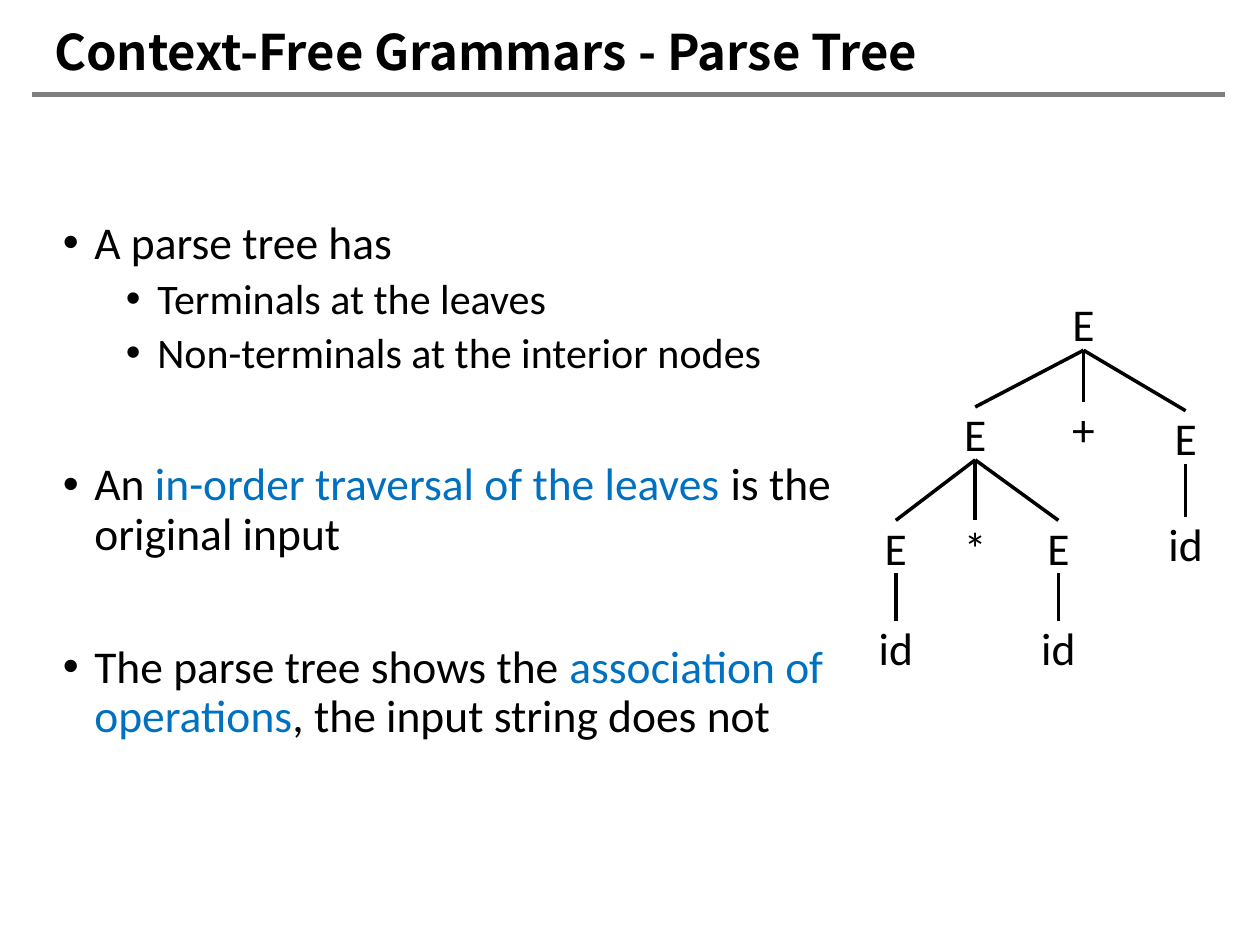
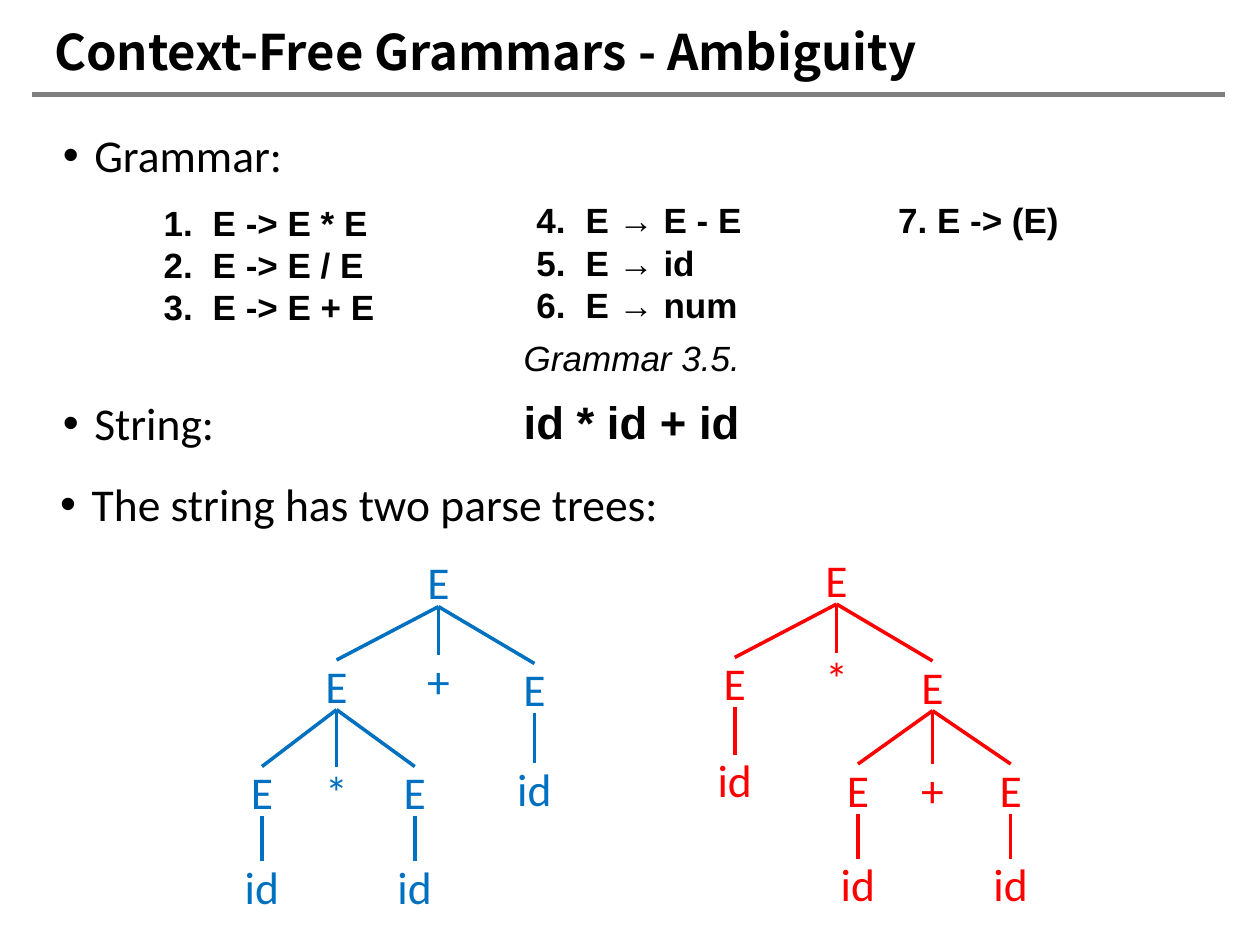
"""Build two slides on parse trees and ambiguity of context-free grammars."""
from dataclasses import dataclass

from lxml import etree
from pptx import Presentation
from pptx.dml.color import RGBColor
from pptx.enum import shapes, text
from pptx.oxml import ns
from pptx.util import Inches, Pt

BLACK, GRAY, BLUE, RED = "000000", "7F7F7F", "0070C0", "FF0000"
TITLE_FONT, BODY_FONT, CODE_FONT = "Noto Sans CJK SC", "Calibri", "Arial"
BODY_SIZE, CODE_SIZE = 26, 20
NODE_HEIGHT, NODE_WIDTH, LEAF_WIDTH = 0.42, 0.39, 0.61
SMALL = 0.94


@dataclass
class Node:
    """A tree node, placed by its offset from the top centre of the root."""
    label: str
    across: float = 0
    down: float = 0
    children: tuple = ()


PRODUCT_FIRST = Node("E", children=(
    Node("E", -0.86, 0.87, (
        Node("E", -1.49, 1.77, (Node("id", -1.49, 2.57),)),
        Node("*", -0.86, 1.77),
        Node("E", -0.2, 1.77, (Node("id", -0.2, 2.57),)))),
    Node("+", 0, 0.83),
    Node("E", 0.81, 0.9, (Node("id", 0.81, 1.74),))))

SUM_FIRST = Node("E", children=(
    Node("E", -0.86, 0.87, (Node("id", -0.86, 1.69),)),
    Node("*", 0, 0.83),
    Node("E", 0.81, 0.9, (
        Node("E", 0.18, 1.77, (Node("id", 0.18, 2.57),)),
        Node("+", 0.81, 1.77),
        Node("E", 1.47, 1.77, (Node("id", 1.47, 2.57),))))))


def rgb(hex_color):
    """Turn a hex string into a colour."""
    return RGBColor.from_string(hex_color)


def write(para, words, size=BODY_SIZE, font=BODY_FONT, color=BLACK, bold=False, italic=False):
    """Add a formatted span of text to a paragraph."""
    span = para.add_run()
    span.text = words
    span.font.size = Pt(size)
    span.font.name = font
    span.font.color.rgb = rgb(color)
    span.font.bold = bold
    span.font.italic = italic


def add_frame(page, left, top, width, height, inset=None):
    """Add a wrapping text box and return its text frame."""
    box = page.shapes.add_textbox(Inches(left), Inches(top), Inches(width), Inches(height))
    frame = box.text_frame
    frame.word_wrap = True
    if inset is not None:
        clear_insets(frame, inset)
    return frame


def clear_insets(frame, inset=0):
    """Give all four sides of a text frame the same inset."""
    frame.margin_left = frame.margin_right = Inches(inset)
    frame.margin_top = frame.margin_bottom = Inches(inset)


def next_paragraph(frame, index):
    """Return the first paragraph of a frame, or a new one after it."""
    return frame.add_paragraph() if index else frame.paragraphs[0]


def add_line(group, start, end, color, width):
    """Draw a straight line without a shadow."""
    line = group.add_connector(shapes.MSO_CONNECTOR.STRAIGHT, *start, *end)
    line.line.color.rgb = rgb(color)
    line.line.width = Pt(width)
    etree.SubElement(line._element.spPr, ns.qn("a:effectLst"))
    return line


def add_page(deck, title):
    """Add a blank slide with the shared title and rule."""
    page = deck.slides.add_slide(deck.slide_layouts[6])
    add_line(page.shapes, (Inches(0.25), Inches(0.75)), (Inches(9.72), Inches(0.75)), GRAY, 3)
    frame = add_frame(page, 0.43, 0.17, 8, 0.94, inset=0)
    write(frame.paragraphs[0], title, size=28, font=TITLE_FONT, bold=True)
    return page


def add_bullets(page, left, top, width, height, items):
    """Add bullets given as (level, points before, spans of text and colour)."""
    frame = add_frame(page, left, top, width, height)
    for index, (level, before, spans) in enumerate(items):
        para = next_paragraph(frame, index)
        para.level = level
        properties = para._p.get_or_add_pPr()
        properties.set("marL", str(Inches(0.25 + 0.5 * level)))
        properties.set("indent", str(Inches(-0.25)))
        etree.SubElement(properties, ns.qn("a:buFont")).set("typeface", "Arial")
        etree.SubElement(properties, ns.qn("a:buChar")).set("char", "•")
        para.line_spacing = 0.9
        para.space_before = Pt(before)
        for words, color in spans:
            write(para, words, size=BODY_SIZE - 2 * level, color=color)


def add_rules(page, left, top, width, rules):
    """Add grammar rules whose right parts align at a tab stop."""
    frame = add_frame(page, left, top, width, 0.1 + 0.34 * len(rules))
    for index, rule in enumerate(rules):
        para = next_paragraph(frame, index)
        tabs = etree.SubElement(para._p.get_or_add_pPr(), ns.qn("a:tabLst"))
        stop = etree.SubElement(tabs, ns.qn("a:tab"))
        stop.set("pos", str(Inches(0.39)))
        stop.set("algn", "l")
        write(para, rule, size=CODE_SIZE, font=CODE_FONT, bold=True)


def add_centered(page, top, height, words, **style):
    """Add a centred line of text in the middle column."""
    para = add_frame(page, 2.09, top, 5.85, height).paragraphs[0]
    para.alignment = text.PP_ALIGN.CENTER
    write(para, words, font=CODE_FONT, **style)


def add_node(group, node, center, top, scale, color):
    """Draw a node and its subtree, joined by lines, and return its shape."""
    width = scale * (LEAF_WIDTH if node.label == "id" else NODE_WIDTH)
    box = group.add_shape(
        shapes.MSO_SHAPE.ROUNDED_RECTANGLE,
        Inches(center + scale * node.across - width / 2), Inches(top + scale * node.down),
        Inches(width), Inches(scale * NODE_HEIGHT))
    box.shadow.inherit = False
    box.fill.background()
    box.line.fill.background()
    frame = box.text_frame
    clear_insets(frame)
    frame.word_wrap = False
    frame.vertical_anchor = text.MSO_ANCHOR.MIDDLE
    para = frame.paragraphs[0]
    para.alignment = text.PP_ALIGN.CENTER
    write(para, node.label, color=color)
    for child in node.children:
        child_box = add_node(group, child, center, top, scale, color)
        corner = (box.left, box.top)
        branch = add_line(group, corner, corner, color, 2)
        branch.begin_connect(box, 2)
        branch.end_connect(child_box, 0)
    return box


def add_tree(page, root, center, top, scale=1, color=BLACK):
    """Draw a parse tree as one group."""
    add_node(page.shapes.add_group_shape().shapes, root, center, top, scale, color)


def add_parse_tree_page(deck):
    """Build the slide that explains a parse tree."""
    page = add_page(deck, "Context-Free Grammars - Parse Tree")
    add_bullets(page, 0.4, 1.7, 6.32, 4.38, [
        (0, 0, [("A parse tree has", BLACK)]),
        (1, 5, [("Terminals at the leaves", BLACK)]),
        (1, 5, [("Non-terminals at the interior nodes", BLACK)]),
        (0, 48, [("An ", BLACK), ("in-order traversal of the leaves ", BLUE),
                 ("is the original input", BLACK)]),
        (0, 48, [("The parse tree shows the ", BLACK), ("association of operations", BLUE),
                 (", the input string does not", BLACK)]),
    ])
    add_tree(page, PRODUCT_FIRST, 8.6, 2.36)


def add_ambiguity_page(deck):
    """Build the slide that shows two trees for one string."""
    page = add_page(deck, "Context-Free Grammars - Ambiguity")
    add_bullets(page, 0.4, 1.01, 9.24, 2.66, [
        (0, 0, [("Grammar:", BLACK)]),
        (0, 125, [("String:", BLACK)]),
    ])
    add_rules(page, 1.2, 1.55, 2.03, ["1.\tE -> E * E", "2.\tE -> E / E", "3.\tE -> E + E"])
    add_rules(page, 4.16, 1.53, 2.03, ["4.\tE → E - E", "5.\tE → id", "6.\tE → num"])
    add_rules(page, 7.03, 1.53, 2.03, ["7. E -> (E)"])
    add_centered(page, 2.62, 0.44, "Grammar 3.5.", size=CODE_SIZE, italic=True)
    add_centered(page, 3.08, 0.54, "id * id + id", bold=True)
    add_bullets(page, 0.38, 3.78, 9.24, 0.53, [
        (0, 0, [("The string has two parse trees:", BLACK)])])
    add_tree(page, PRODUCT_FIRST, 3.48, 4.42, SMALL, BLUE)
    add_tree(page, SUM_FIRST, 6.64, 4.4, SMALL, RED)


def main():
    """Build and save the deck."""
    deck = Presentation()
    deck.slide_width, deck.slide_height = Inches(10), Inches(7.5)
    add_parse_tree_page(deck)
    add_ambiguity_page(deck)
    deck.save("out.pptx")


if __name__ == "__main__":
    main()
